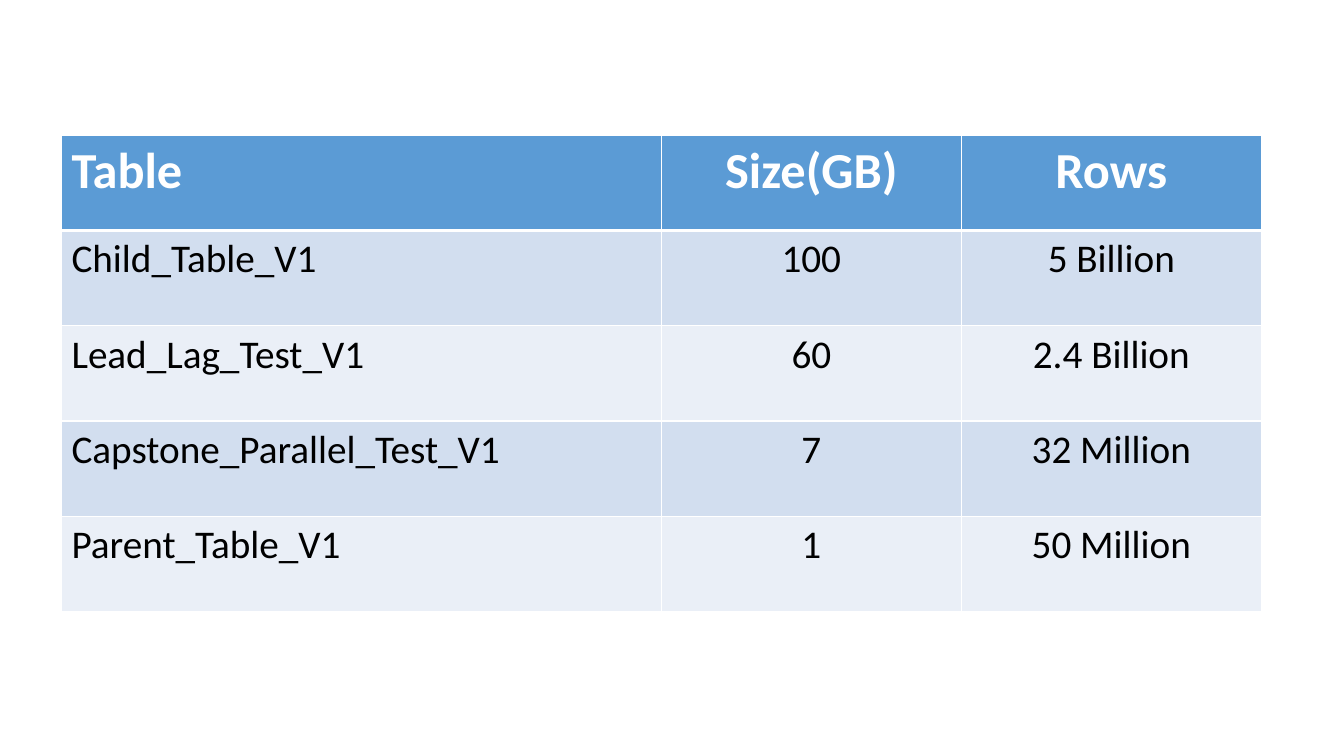
from lxml.etree import SubElement
from pptx import Presentation
from pptx.dml.color import RGBColor
from pptx.enum.text import PP_ALIGN as Align
from pptx.oxml.ns import qn
from pptx.util import Inches, Pt

SIZES = [
    ("Table", "Size(GB)", "Rows"),
    ("Child_Table_V1", "100", "5 Billion"),
    ("Lead_Lag_Test_V1", "60", "2.4 Billion"),
    ("Capstone_Parallel_Test_V1", "7", "32 Million"),
    ("Parent_Table_V1", "1", "50 Million"),
]
COLUMN_SHARES = (0.5, 0.25, 0.25)
BAND_FILLS = ("EAEFF7", "D2DEEF")
HEADER_FONT = {"name": "Calibri", "size": Pt(36), "bold": True}
BODY_FONT = {"name": "Calibri", "size": Pt(28), "bold": False}


def color(hex_value):
    """Return the colour for a hex string."""
    return RGBColor.from_string(hex_value)


def set_borders(cell, widths):
    """Draw white borders with a width in points for each side tag."""
    properties = cell._tc.get_or_add_tcPr()
    for side, width in widths.items():
        line = SubElement(properties, qn(f"a:{side}"), w=str(Pt(width)))
        line_fill = SubElement(line, qn("a:solidFill"))
        SubElement(line_fill, qn("a:srgbClr"), val="FFFFFF")


def format_cell(cell, text, row, column):
    """Write one cell and style it by its place in the table."""
    is_header = row == 0
    set_borders(cell, {"lnL": 1, "lnR": 1,
                       "lnT": 3 if row == 1 else 1,
                       "lnB": 3 if is_header else 1})
    cell.fill.solid()
    cell.fill.fore_color.rgb = color("5B9BD5" if is_header else BAND_FILLS[row % 2])
    cell.text = text
    paragraph = cell.text_frame.paragraphs[0]
    paragraph.alignment = Align.CENTER if column else Align.LEFT
    font = paragraph.runs[0].font
    for attribute, value in (HEADER_FONT if is_header else BODY_FONT).items():
        setattr(font, attribute, value)
    font.color.rgb = color("FFFFFF" if is_header else "000000")


def add_size_table(slide, left, top, width, height):
    """Place the table of sizes and row counts in the given box."""
    table = slide.shapes.add_table(len(SIZES), len(COLUMN_SHARES),
                                   left, top, width, height).table
    for column, share in zip(table.columns, COLUMN_SHARES):
        column.width = int(width * share)
    for row, values in enumerate(SIZES):
        for column, text in enumerate(values):
            format_cell(table.cell(row, column), text, row, column)


def main():
    """Build and save the slide."""
    deck = Presentation()
    deck.slide_width, deck.slide_height = Inches(13.33), Inches(7.5)
    slide = deck.slides.add_slide(deck.slide_layouts[6])
    add_size_table(slide, Inches(0.61), Inches(1.34), Inches(11.9), Inches(4.73))
    deck.save("out.pptx")


if __name__ == "__main__":
    main()
